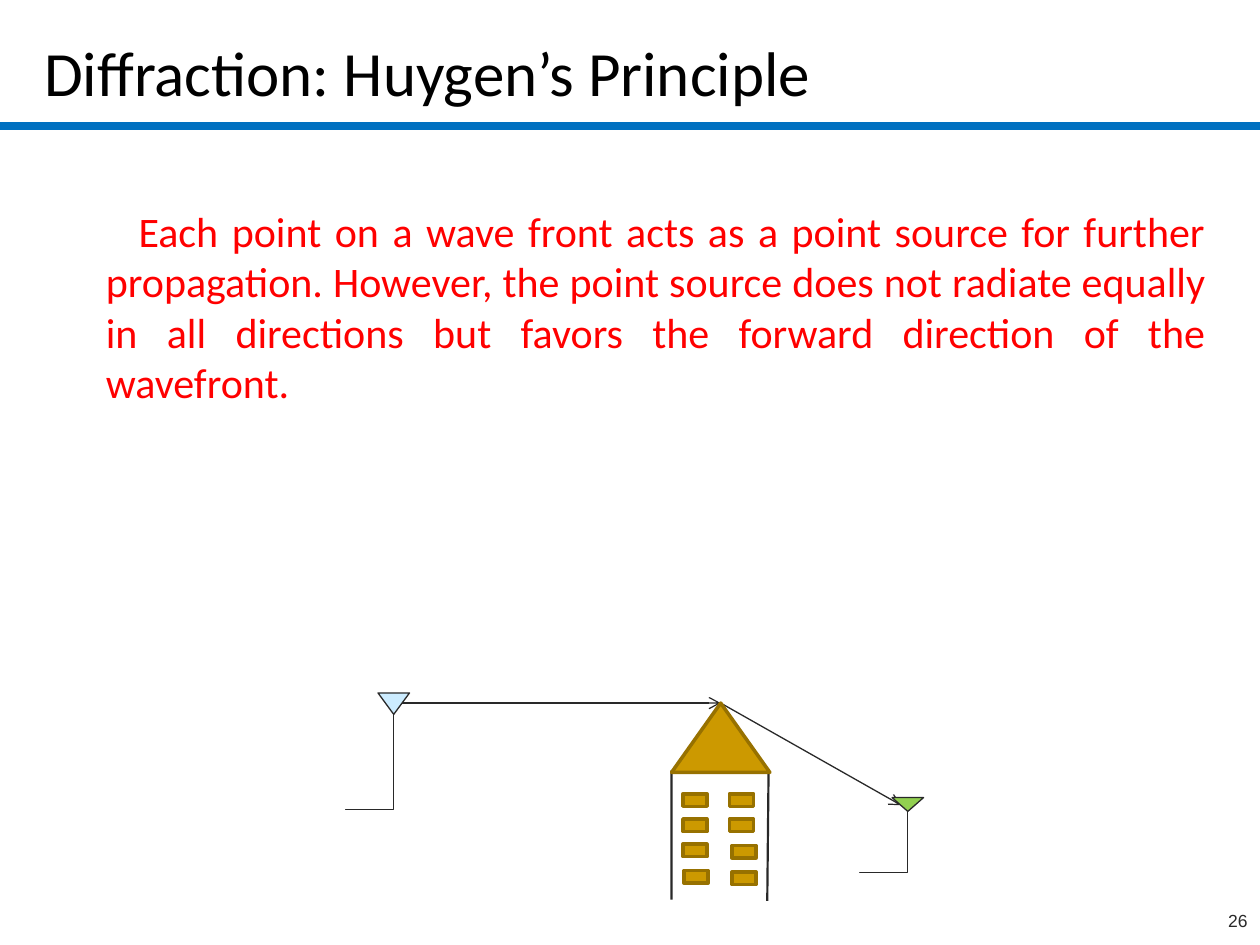
from dataclasses import dataclass

import pptx
import pptx.dml.color
import pptx.enum.shapes
import pptx.enum.text
import pptx.oxml
import pptx.oxml.ns
import pptx.util
from pptx.dml.color import RGBColor
from pptx.enum.shapes import MSO_CONNECTOR, MSO_SHAPE
from pptx.enum.text import MSO_ANCHOR, MSO_AUTO_SIZE, PP_ALIGN
from pptx.util import Inches, Pt

BLACK = RGBColor(0x00, 0x00, 0x00)
RED = RGBColor(0xFF, 0x00, 0x00)
BLUE = RGBColor(0x00, 0x70, 0xC0)
INK = RGBColor(0x29, 0x29, 0x29)
SKY = RGBColor(0xCC, 0xEC, 0xFF)
GREEN = RGBColor(0x92, 0xD0, 0x50)
GOLD = RGBColor(0xCC, 0x99, 0x00)
BROWN = RGBColor(0x97, 0x71, 0x00)

STATEMENT = (
    "Each point on a wave front acts as a point source for further propagation. "
    "However, the point source does not radiate equally in all directions but "
    "favors the forward direction of the wavefront."
)


@dataclass
class Antenna:
    left: float
    top: float
    height: float
    foot: float
    fill: RGBColor


@dataclass
class Ray:
    x1: float
    y1: float
    x2: float
    y2: float


ANTENNAS = [Antenna(3, 5.5, 0.17, 6.42, SKY), Antenna(7.08, 6.33, 0.11, 6.92, GREEN)]
RAYS = [Ray(3.19, 5.58, 5.72, 5.58), Ray(5.72, 5.58, 7.15, 6.39)]
WINDOWS = [
    (5.42, 6.3), (5.79, 6.3), (5.42, 6.5), (5.79, 6.5),
    (5.42, 6.7), (5.81, 6.71), (5.43, 6.91), (5.81, 6.92),
]
WALLS = [(5.33, 7.14), (5.33, 6.12), (6.1, 6.13), (6.09, 7.15)]


def place(sp, left: float, top: float, width: float, height: float) -> None:
    sp.left, sp.top = Inches(left), Inches(top)
    sp.width, sp.height = Inches(width), Inches(height)


def write(sp, text: str, size: float, font: str, color: RGBColor, align) -> None:
    tf = sp.text_frame
    tf.text = text
    tf.word_wrap = True
    tf.auto_size = MSO_AUTO_SIZE.NONE
    p = tf.paragraphs[0]
    p.alignment = align
    r = p.runs[0]
    r.font.size, r.font.name = Pt(size), font
    r.font.color.rgb = color


def add_line(shapes, kind, ray: Ray, color: RGBColor, width: float):
    ln = shapes.add_connector(
        kind, Inches(ray.x1), Inches(ray.y1), Inches(ray.x2), Inches(ray.y2)
    )
    ln.line.color.rgb = color
    ln.line.width = Pt(width)
    pptx.oxml.ns.qn("a:effectLst")
    ln._element.spPr.append(pptx.oxml.parse_xml(
        f"<a:effectLst {pptx.oxml.ns.nsdecls('a')}/>"
    ))
    return ln


def add_ray(shapes, ray: Ray) -> None:
    ln = add_line(shapes, MSO_CONNECTOR.STRAIGHT, ray, INK, 0.75)
    ln.line._get_or_add_ln().append(pptx.oxml.parse_xml(
        f"<a:tailEnd {pptx.oxml.ns.nsdecls('a')} type='arrow'/>"
    ))


def add_figure(shapes, kind, box: tuple, fill: RGBColor, line: RGBColor, width: float) -> None:
    sp = shapes.add_shape(kind, *(Inches(v) for v in box))
    sp.shadow.inherit = False
    sp.fill.solid()
    sp.fill.fore_color.rgb = fill
    sp.line.color.rgb = line
    sp.line.width = Pt(width)


def add_antenna(shapes, a: Antenna) -> None:
    group = shapes.add_group_shape().shapes
    add_figure(group, MSO_SHAPE.FLOWCHART_MERGE, (a.left, a.top, 0.25, a.height), a.fill, INK, 0.75)
    x, y = a.left + 0.125, a.top + a.height
    run, drop = 0.38, a.foot - y
    left, top = x - (run + drop) / 2, y + (drop - run) / 2
    mast = add_line(
        group, MSO_CONNECTOR.ELBOW, Ray(left, top, left + drop, top + run), INK, 0.75
    )
    spPr = mast._element.spPr
    spPr.find(pptx.oxml.ns.qn("a:xfrm")).set("rot", "5400000")
    spPr.find(pptx.oxml.ns.qn("a:prstGeom")).get_or_add_avLst().append(pptx.oxml.parse_xml(
        f"<a:gd {pptx.oxml.ns.nsdecls('a')} name='adj1' fmla='val 100500'/>"
    ))


def add_house(shapes) -> None:
    group = shapes.add_group_shape().shapes
    points = [(Inches(x), Inches(y)) for x, y in WALLS]
    fb = group.build_freeform(*points[0])
    fb.add_line_segments(points[1:], close=False)
    walls = fb.convert_to_shape()
    walls.shadow.inherit = False
    walls.fill.background()
    walls.line.color.rgb = INK
    walls.line.width = Pt(1.25)
    for left, top in WINDOWS:
        add_figure(group, MSO_SHAPE.RECTANGLE, (left, top, 0.19, 0.1), GOLD, BROWN, 2)
    add_figure(group, MSO_SHAPE.ISOSCELES_TRIANGLE, (5.33, 5.58, 0.78, 0.55), GOLD, BROWN, 2)


def main() -> None:
    prs = pptx.Presentation()
    prs.slide_width, prs.slide_height = Inches(10), Inches(7.5)
    s = prs.slides.add_slide(prs.slide_layouts[1])

    title = s.shapes.title
    place(title, 0.25, 0.11, 9.5, 0.81)
    write(title, "Diffraction: Huygen’s Principle", 36, "Calibri", BLACK, PP_ALIGN.LEFT)
    title.text_frame.vertical_anchor = MSO_ANCHOR.BOTTOM

    body = s.placeholders[1]
    place(body, 0.25, 1.08, 9.42, 2.42)
    write(body, STATEMENT, 24, "Calibri", RED, PP_ALIGN.JUSTIFY)
    body.text_frame.margin_top = Inches(0.55)
    p = body.text_frame.paragraphs[0]
    p.space_before = Pt(0)
    pPr = p._p.get_or_add_pPr()
    pPr.set("marL", str(Inches(0.49)))
    pPr.set("indent", str(Inches(0.26)))
    pPr.append(pptx.oxml.parse_xml(f"<a:buNone {pptx.oxml.ns.nsdecls('a')}/>"))

    add_line(s.shapes, MSO_CONNECTOR.STRAIGHT, Ray(0, 1, 10, 1), BLUE, 5)
    number = s.shapes.add_textbox(Inches(7.92), Inches(7.17), Inches(2.08), Inches(0.33))
    write(number, "26", 10, "Arial", INK, PP_ALIGN.RIGHT)

    for ray in RAYS:
        add_ray(s.shapes, ray)
    for antenna in ANTENNAS:
        add_antenna(s.shapes, antenna)
    add_house(s.shapes)
    prs.save("out.pptx")


if __name__ == "__main__":
    main()
